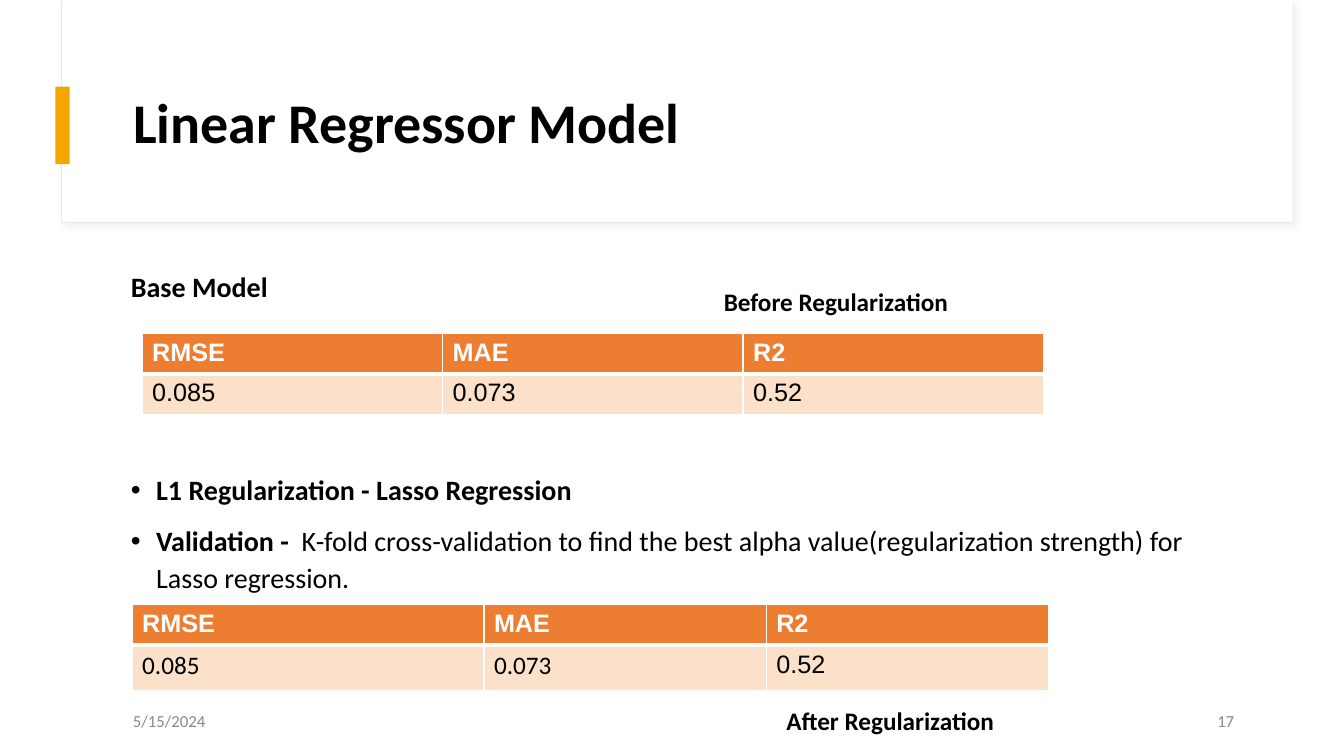
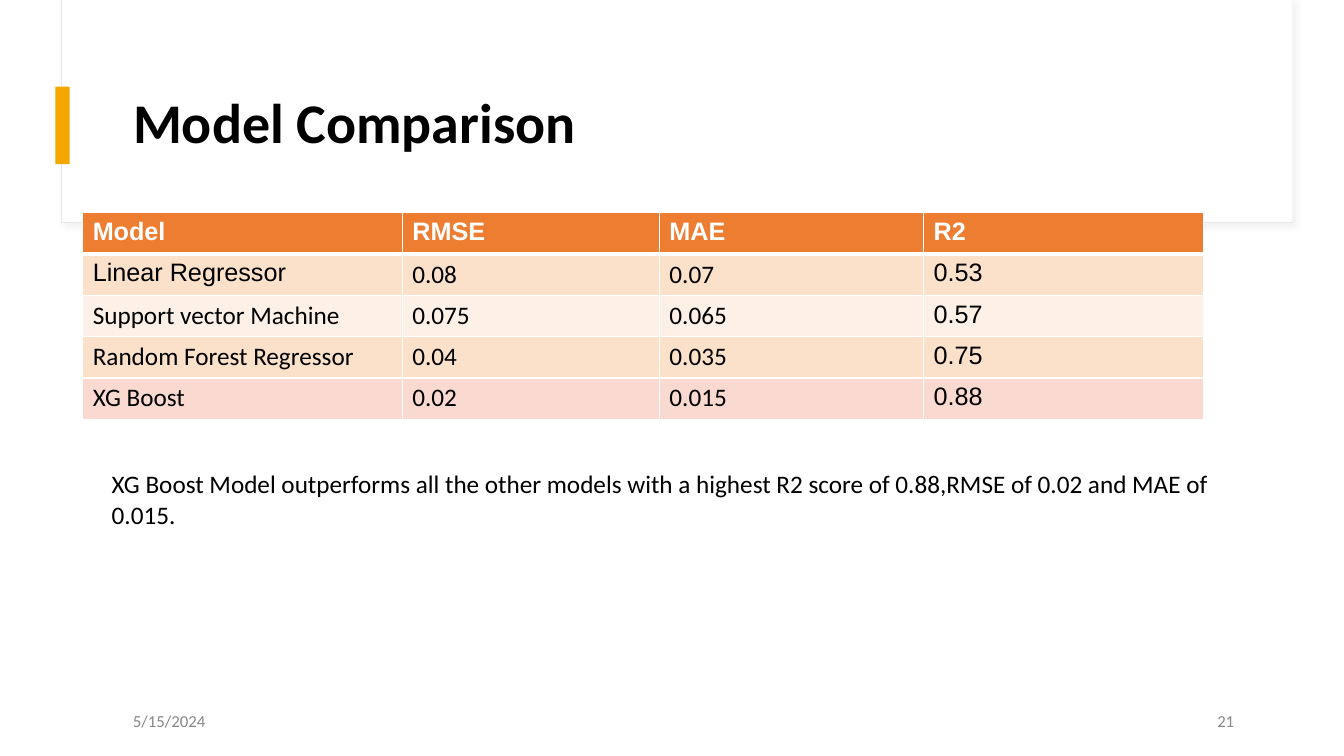
"""Build two slides on regression models and save them as a deck."""
from dataclasses import dataclass, field
from typing import Any

from lxml import etree
from pptx import Presentation
from pptx import util as u
from pptx.dml import color
from pptx.enum import shapes, text
from pptx.oxml import ns

EMU_PER_PX = 9144


def px(length: int) -> u.Emu:
    return u.Emu(length * EMU_PER_PX)


@dataclass(frozen=True)
class Theme:
    text_font: str = "Calibri"
    table_font: str = "Arial"
    ink: str = "000000"
    paper: str = "FFFFFF"
    accent: str = "F5A700"
    edge: str = "E8E8E8"
    shadow: str = "D8D8D8"
    muted: str = "888888"
    header: str = "ED7D31"
    bands: tuple[str, str] = ("FBE1CA", "FDF0E6")
    highlight: str = "FAD9D1"
    title_size: int = 40
    body_size: int = 20
    label_size: int = 18
    footer_size: int = 12


THEME = Theme()


@dataclass(frozen=True)
class Frame:
    left: int
    top: int
    width: int
    height: int

    def emu(self) -> list[u.Emu]:
        return [px(side) for side in (self.left, self.top, self.width, self.height)]


@dataclass(frozen=True)
class Span:
    words: str
    size: int = THEME.label_size
    bold: bool = False
    ink: str = THEME.ink
    font: str = THEME.text_font


@dataclass(frozen=True)
class Line:
    spans: tuple[Span, ...]
    format: dict[str, Any] = field(default_factory=dict)
    bullet: bool = False


@dataclass(frozen=True)
class Label:
    frame: Frame
    lines: tuple[Line, ...]
    format: dict[str, Any] = field(default_factory=dict)


@dataclass(frozen=True)
class Grid:
    left: int
    top: int
    columns: tuple[int, ...]
    heights: tuple[int, ...]
    rows: tuple[tuple[str, ...], ...]
    table_font_cells: tuple[str, ...] = ()
    highlight: str = ""


@dataclass(frozen=True)
class Page:
    title: str
    number: str
    grids: tuple[Grid, ...]
    labels: tuple[Label, ...]


TITLE_FRAME = Frame(122, 60, 1112, 129)
MIDDLE = {"vertical_anchor": text.MSO_ANCHOR.MIDDLE}
GROW = {"auto_size": text.MSO_AUTO_SIZE.SHAPE_TO_FIT_TEXT}
METRICS = ("RMSE", "MAE", "R2")
BASE_SCORES = ("0.085", "0.073", "0.52")


def assign(target: Any, values: dict[str, Any]) -> None:
    for name, value in values.items():
        setattr(target, name, value)


def rgb(code: str) -> color.RGBColor:
    return color.RGBColor.from_string(code)


def add_node(parent: Any, tag: str, **attributes: str) -> Any:
    return etree.SubElement(parent, ns.qn(tag), attributes)


def add_bullet(para: Any) -> None:
    properties = para._p.get_or_add_pPr()
    assign_indent = {"marL": px(25), "indent": -px(25)}
    for name, value in assign_indent.items():
        properties.set(name, str(value))
    add_node(add_node(properties, "a:buClr"), "a:srgbClr", val=THEME.ink)
    add_node(properties, "a:buFont", typeface=THEME.table_font)
    add_node(properties, "a:buChar", char="•")


def write_line(para: Any, line: Line) -> None:
    assign(para, line.format)
    if line.bullet:
        add_bullet(para)
    for span in line.spans:
        run = para.add_run()
        run.text = span.words
        assign(run.font, {"name": span.font, "size": u.Pt(span.size), "bold": span.bold})
        run.font.color.rgb = rgb(span.ink)


def add_label(slide: Any, label: Label) -> None:
    box = slide.shapes.add_textbox(*label.frame.emu()).text_frame
    assign(box, {"word_wrap": True, **label.format})
    for index, line in enumerate(label.lines):
        write_line(box.add_paragraph() if index else box.paragraphs[0], line)


def add_panel(slide: Any, frame: Frame, fill: str, edge: str = "") -> None:
    panel = slide.shapes.add_shape(shapes.MSO_SHAPE.RECTANGLE, *frame.emu())
    panel.shadow.inherit = False
    panel.fill.solid()
    panel.fill.fore_color.rgb = rgb(fill)
    if edge:
        panel.line.color.rgb = rgb(edge)
        panel.line.width = u.Pt(0.75)
        effects = panel.element.spPr.find(ns.qn("a:effectLst"))
        shadow = add_node(effects, "a:outerShdw", blurRad=str(u.Pt(4)), dist=str(u.Pt(3)),
                          dir="2700000", algn="tl", rotWithShape="0")
        tint = add_node(shadow, "a:srgbClr", val=THEME.shadow)
        add_node(tint, "a:alpha", val="30000")
    else:
        panel.line.fill.background()
    slide.shapes.title.element.addprevious(panel.element)


def add_heading(slide: Any, words: str) -> None:
    title = slide.shapes.title
    assign(title, dict(zip(("left", "top", "width", "height"), TITLE_FRAME.emu())))
    assign(title.text_frame, {"word_wrap": True, "auto_size": text.MSO_AUTO_SIZE.NONE, **MIDDLE})
    layout = {"alignment": text.PP_ALIGN.LEFT, "line_spacing": 0.9}
    write_line(title.text_frame.paragraphs[0],
               Line((Span(words, THEME.title_size, True),), layout))
    add_panel(slide, Frame(61, 0, 1221, 221), THEME.paper, THEME.edge)
    add_panel(slide, Frame(62, 0, 1220, 220), THEME.paper)
    add_panel(slide, Frame(55, 86, 14, 77), THEME.accent)


def add_borders(cell: Any, row: int) -> None:
    properties = cell._tc.get_or_add_tcPr()
    widths = {"a:lnL": 1, "a:lnR": 1, "a:lnT": 3 if row == 1 else 1, "a:lnB": 1 if row else 3}
    for tag, width in widths.items():
        border = add_node(properties, tag, w=str(u.Pt(width)))
        add_node(add_node(border, "a:solidFill"), "a:srgbClr", val=THEME.paper)


def add_grid(slide: Any, grid: Grid) -> None:
    frame = Frame(grid.left, grid.top, sum(grid.columns), sum(grid.heights))
    table = slide.shapes.add_table(len(grid.rows), len(grid.columns), *frame.emu()).table
    table.horz_banding = False
    for column, width in zip(table.columns, grid.columns):
        column.width = px(width)
    for row, (height, values) in enumerate(zip(grid.heights, grid.rows)):
        table.rows[row].height = px(height)
        header = row == 0
        fill = THEME.header if header else THEME.bands[(row - 1) % 2]
        if values[0] == grid.highlight:
            fill = THEME.highlight
        for column, words in enumerate(values):
            cell = table.cell(row, column)
            last = column == len(values) - 1
            plain = header or last or words in grid.table_font_cells
            span = Span(words, bold=header, ink=THEME.paper if header else THEME.ink,
                        font=THEME.table_font if plain else THEME.text_font)
            write_line(cell.text_frame.paragraphs[0], Line((span,)))
            add_borders(cell, row)
            cell.fill.solid()
            cell.fill.fore_color.rgb = rgb(fill)


def add_footer(slide: Any, number: str) -> None:
    for left, words, side in ((122, "5/15/2024", text.PP_ALIGN.LEFT),
                              (934, number, text.PP_ALIGN.RIGHT)):
        span = Span(words, THEME.footer_size, ink=THEME.muted)
        line = Line((span,), {"alignment": side})
        add_label(slide, Label(Frame(left, 695, 300, 40), (line,), MIDDLE))


def body_line(*spans: Span, before: int = 0, bullet: bool = False) -> Line:
    return Line(spans, {"line_spacing": 1.1, "space_before": u.Pt(before)}, bullet)


def caption(left: int, top: int, words: str) -> Label:
    return Label(Frame(left, top, 428, 40), (Line((Span(words, bold=True),)),), GROW)


PAGES = (
    Page(
        "Linear Regressor Model", "17",
        (
            Grid(141, 331, (298,) * 3, (39, 40), (METRICS, BASE_SCORES), BASE_SCORES),
            Grid(131, 600, (349, 280, 280), (34, 45), (METRICS, BASE_SCORES)),
        ),
        (
            Label(Frame(120, 259, 1112, 428), (
                body_line(Span("Base Model", THEME.body_size, True)),
                body_line(Span("L1 Regularization - Lasso Regression", THEME.body_size, True),
                          before=119, bullet=True),
                body_line(Span("Validation - ", THEME.body_size, True),
                          Span(" K-fold cross-validation to find the best alpha "
                               "value(regularization strength) for Lasso regression.",
                               THEME.body_size),
                          before=10, bullet=True),
            )),
            caption(708, 279, "Before Regularization"),
            caption(770, 695, "After Regularization"),
        ),
    ),
    Page(
        "Model Comparison", "21",
        (
            Grid(82, 211, (317, 255, 262, 278), (41,) * 5, (
                ("Model", *METRICS),
                ("Linear Regressor", "0.08", "0.07", "0.53"),
                ("Support vector Machine", "0.075", "0.065", "0.57"),
                ("Random Forest Regressor", "0.04", "0.035", "0.75"),
                ("XG Boost", "0.02", "0.015", "0.88"),
            ), ("Linear Regressor",), "XG Boost"),
        ),
        (
            Label(Frame(101, 460, 1117, 71), (Line((Span(
                "XG Boost Model outperforms all the other models with a highest R2 score "
                "of 0.88,RMSE of 0.02 and MAE of 0.015."),)),), GROW),
        ),
    ),
)


def main() -> None:
    deck = Presentation()
    assign(deck, {"slide_width": px(1333), "slide_height": px(750)})
    for page in PAGES:
        slide = deck.slides.add_slide(deck.slide_layouts.get_by_name("Title Only"))
        add_heading(slide, page.title)
        for label in page.labels:
            add_label(slide, label)
        for grid in page.grids:
            add_grid(slide, grid)
        add_footer(slide, page.number)
    deck.save("out.pptx")


if __name__ == "__main__":
    main()
